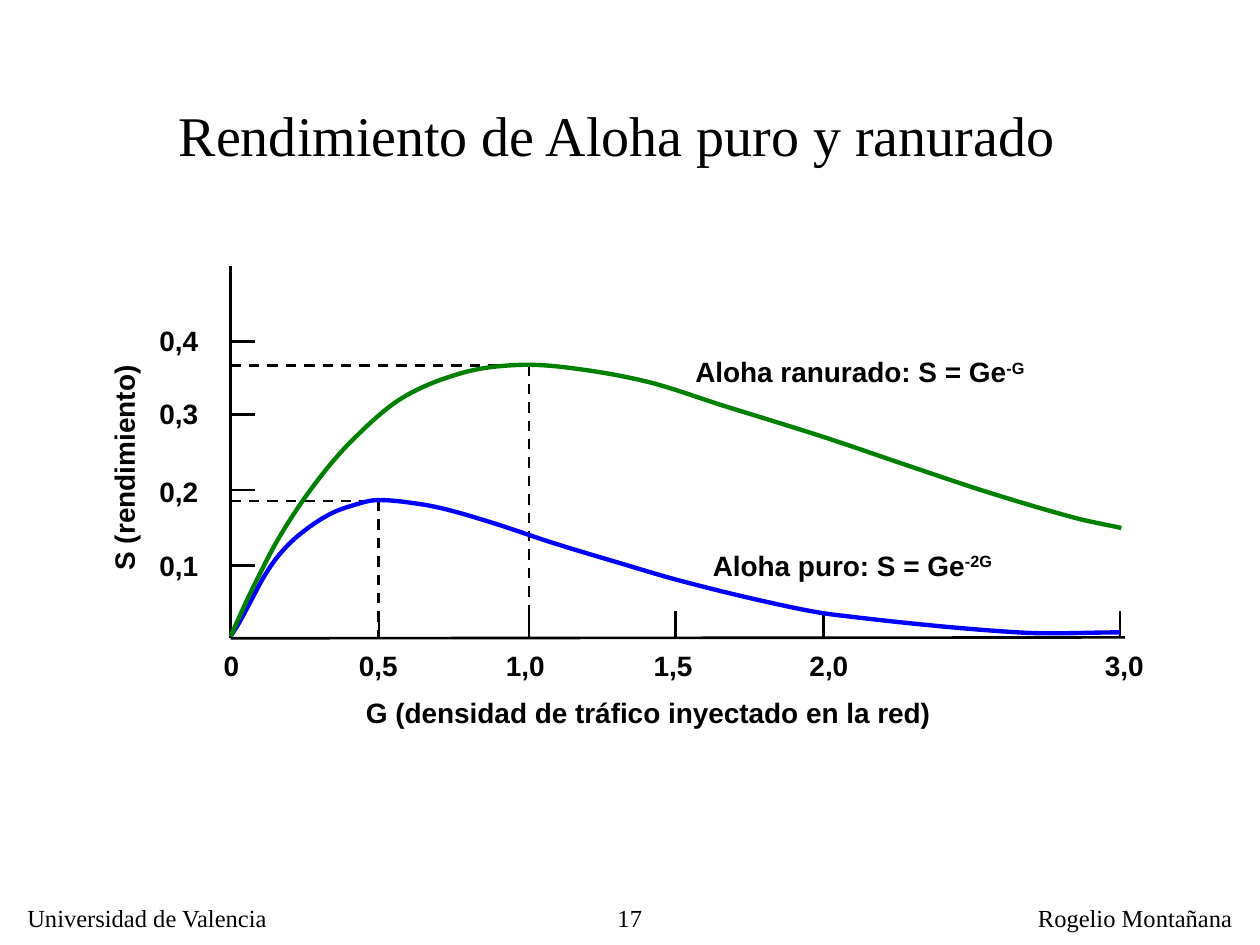
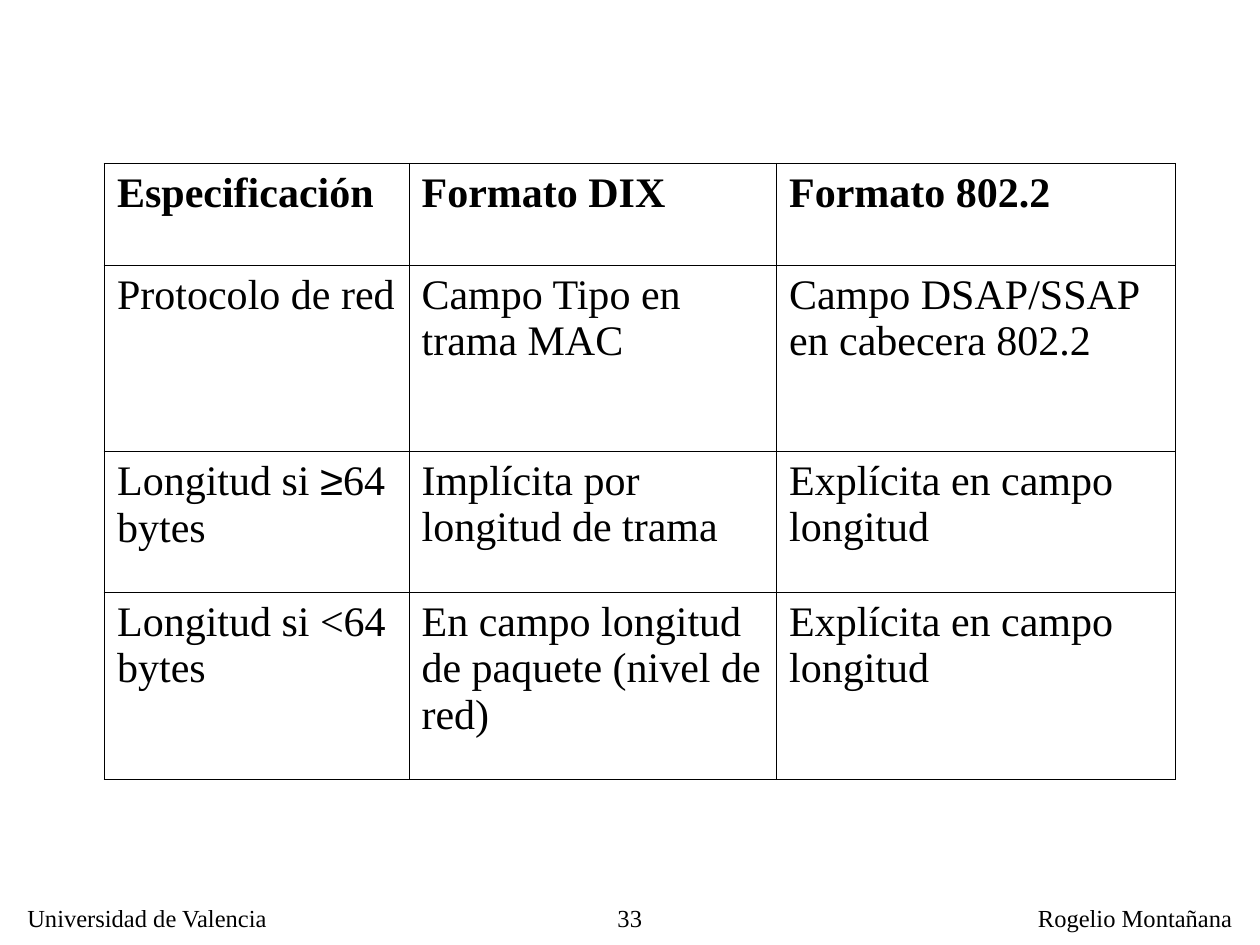
import pptx
import pptx.dml.color
import pptx.enum.dml
import pptx.enum.shapes
import pptx.enum.text
import pptx.oxml
import pptx.oxml.ns
import pptx.util
from lxml import etree

Pt = pptx.util.Pt
qn = pptx.oxml.ns.qn
colour = pptx.dml.color.RGBColor.from_string
align = pptx.enum.text.PP_ALIGN
autosize = pptx.enum.text.MSO_AUTO_SIZE

BLACK, BLUE, GREEN = "000000", "0000FF", "008000"
TITLE = {"name": "Times New Roman", "size": Pt(32), "bold": False}
FOOTER = {"name": "Times New Roman", "size": Pt(14), "bold": False}
LABEL = {"name": "Arial", "size": Pt(16), "bold": True}
CELL = {"name": "Times New Roman", "size": Pt(24), "bold": False}


def write(frame, parts, alignment=align.LEFT):
    """Fill the first paragraph with (text, format, baseline) parts."""
    para = frame.paragraphs[0]
    para.alignment = alignment
    for text, look, baseline in parts:
        span = para.add_run()
        span.text = text
        for name, value in look.items():
            setattr(span.font, name, value)
        span.font.color.rgb = colour(BLACK)
        if baseline:
            span._r.get_or_add_rPr().set("baseline", str(baseline))
    return para


def add_text(page, left, top, width, height, parts, alignment=align.LEFT):
    """Add a box that fits its text, or a fixed one when right-aligned."""
    box = page.shapes.add_textbox(Pt(left), Pt(top), Pt(width), Pt(height))
    fixed = alignment == align.RIGHT
    box.text_frame.word_wrap = fixed
    box.text_frame.auto_size = autosize.NONE if fixed else autosize.SHAPE_TO_FIT_TEXT
    write(box.text_frame, parts, alignment)
    return box


deck = pptx.Presentation()
deck.slide_width, deck.slide_height = Pt(720), Pt(540)
chart_page = deck.slides.add_slide(deck.slide_layouts[5])
table_page = deck.slides.add_slide(deck.slide_layouts[6])

# Footers
for page, number in ((chart_page, "17"), (table_page, "33")):
    add_text(page, 297.75, 512.75, 76.25, 22.5, [(number, FOOTER, 0)], align.RIGHT)
    add_text(page, 8.5, 512.75, 153.5, 24.5, [("Universidad de Valencia", FOOTER, 0)])
    add_text(page, 586, 512.75, 125.5, 24.5, [("Rogelio Montañana", FOOTER, 0)])

# Title
title = chart_page.shapes.title
title.left, title.top, title.width, title.height = Pt(95), Pt(53.5), Pt(517), Pt(46)
title.text_frame.word_wrap = False
title.text_frame.auto_size = autosize.NONE
write(title.text_frame, [("Rendimiento de Aloha puro y ranurado", TITLE, 0)])

# Axes, ticks and dashed guides to the two maxima
axis_left, axis_bottom, tick = 131.75, 364.75, 13.75
x_ticks = {216.5: ("0,5", 198), 302.25: ("1,0", 282), 386: ("1,5", 366.5),
           470.75: ("2,0", 455.5), 640: ("3,0", 624.25)}
y_ticks = {323.25: ("0,1", 309.75), 280: ("0,2", 267.75),
           237: ("0,3", 223), 195: ("0,4", 181.25)}
lines = [(axis_left, 152, axis_left, axis_bottom, False),
         (axis_left, axis_bottom, 643, 364.25, False)]
lines += [(x, axis_bottom - 15.5, x, axis_bottom, False) for x in x_ticks]
lines += [(axis_left, y, axis_left + tick, y, False) for y in y_ticks]
for peak_x, peak_y in ((216.25, 286.25), (302.25, 208.75)):
    lines += [(axis_left, peak_y, peak_x, peak_y, True),
              (peak_x, peak_y, peak_x, axis_bottom, True)]
for x1, y1, x2, y2, dashed in lines:
    line = chart_page.shapes.add_connector(
        pptx.enum.shapes.MSO_CONNECTOR.STRAIGHT, Pt(x1), Pt(y1), Pt(x2), Pt(y2))
    line.line.width = Pt(1.5)
    line.line.color.rgb = colour(BLACK)
    if dashed:
        line.line.dash_style = pptx.enum.dml.MSO_LINE.DASH
    etree.SubElement(line._element.spPr, qn("a:effectLst"))

# Curves: each pair of neighbouring knots is joined by one cubic segment
pure = [(131.8, 363.6), (136.8, 355.7), (142.6, 344.9), (151.2, 329), (159.8, 316.8),
        (171.4, 305.3), (188.6, 293.8), (204.5, 288), (215.3, 285.8), (234.7, 287.3),
        (254.2, 290.9), (283.7, 299.5), (316.1, 310.3), (354.2, 321.8), (388.8, 331.9),
        (439.2, 344.2), (477.4, 351.4), (581.8, 361.4), (640.1, 361.4)]
slotted = [(131.8, 363.6), (144, 337), (159.8, 306.7), (180, 276.5), (201.6, 251.3),
           (229.7, 227.5), (264.2, 213.1), (295.2, 208.6), (325.4, 210.2),
           (370.1, 218.2), (413.3, 231.8), (470.9, 249.8), (519.8, 266.4),
           (565.2, 281.5), (614.2, 295.9), (640.8, 301.7)]
for knots, hue in ((pure, BLUE), (slotted, GREEN)):
    slopes = []
    for i in range(len(knots)):
        before, after = knots[max(i - 1, 0)], knots[min(i + 1, len(knots) - 1)]
        slopes.append((after[1] - before[1]) / (after[0] - before[0]))
    points = []
    for i in range(len(knots) - 1):
        (x1, y1), (x2, y2) = knots[i:i + 2]
        third = (x2 - x1) / 3
        points += [(Pt(x1 + third), Pt(y1 + third * slopes[i])),
                   (Pt(x2 - third), Pt(y2 - third * slopes[i + 1])),
                   (Pt(x2), Pt(y2))]
    builder = chart_page.shapes.build_freeform(Pt(knots[0][0]), Pt(knots[0][1]))
    builder.add_line_segments(points, close=False)
    curve = builder.convert_to_shape()
    segments = list(curve._element.iter(qn("a:lnTo")))
    for start in range(0, len(segments), 3):
        cubic = etree.Element(qn("a:cubicBezTo"))
        segments[start].addprevious(cubic)
        for segment in segments[start:start + 3]:
            cubic.append(segment[0])
            segment.getparent().remove(segment)
    curve.shadow.inherit = False
    curve.fill.background()
    curve.line.width = Pt(2.5)
    curve.line.color.rgb = colour(hue)

# Axis labels and formulas
add_text(chart_page, 202, 394, 337, 26.5,
         [("G (densidad de tráfico inyectado en la red)", LABEL, 0)])
add_text(chart_page, 120.75, 367.25, 23, 26.5, [("0", LABEL, 0)])
for text, left in x_ticks.values():
    add_text(chart_page, left, 367.25, 36.5, 26.5, [(text, LABEL, 0)])
for text, top in y_ticks.values():
    add_text(chart_page, 84, top, 36.5, 26.5, [(text, LABEL, 0)])
add_text(chart_page, 5, 254, 131.5, 26.5, [("S (rendimiento)", LABEL, 0)]).rotation = 270
for left, top, width, formula, exponent in (
        (390.25, 199, 202.5, "Aloha ranurado: S = Ge", "-G"),
        (400.25, 309.75, 174, "Aloha puro: S = Ge", "-2G")):
    add_text(chart_page, left, top, width, 26.5,
             [(formula, LABEL, 0), (exponent, LABEL, 30000)])

# Comparison table
rows = [("Especificación", "Formato DIX", "Formato 802.2"),
        ("Protocolo de red", "Campo Tipo en trama MAC", "Campo DSAP/SSAP en cabecera 802.2"),
        ("Longitud si ≥64 bytes", "Implícita por longitud de trama", "Explícita en campo longitud"),
        ("Longitud si <64 bytes", "En campo longitud de paquete (nivel de red)",
         "Explícita en campo longitud")]
widths, heights = (174, 210, 228), (58.25, 106.25, 80.75, 106.75)
table = table_page.shapes.add_table(
    len(rows), len(widths), Pt(59.75), Pt(93.5), Pt(sum(widths)), Pt(sum(heights))).table
table.first_row = table.horz_banding = False
for column, width in zip(table.columns, widths):
    column.width = Pt(width)
for row, height in zip(table.rows, heights):
    row.height = Pt(height)
for r, texts in enumerate(rows):
    for c, text in enumerate(texts):
        cell = table.cell(r, c)
        look = {**CELL, "bold": r == 0}
        before, sign, after = text.partition("≥")
        parts = [(before, look, 0)]
        if sign:
            parts += [(sign, {**look, "name": "Arial"}, 0), (after, look, 0)]
        write(cell.text_frame, parts).space_before = Pt(6)
        outer = {"L": c == 0, "R": c == len(widths) - 1, "T": r == 0, "B": r == len(rows) - 1}
        for side, is_outer in outer.items():
            width = Pt(1.08 if is_outer else 0.45)
            cell._tc.get_or_add_tcPr().append(pptx.oxml.parse_xml(
                f'<a:ln{side} {pptx.oxml.ns.nsdecls("a")} w="{width}"><a:solidFill>'
                f'<a:srgbClr val="{BLACK}"/></a:solidFill></a:ln{side}>'))
        cell.fill.background()

deck.save("out.pptx")
